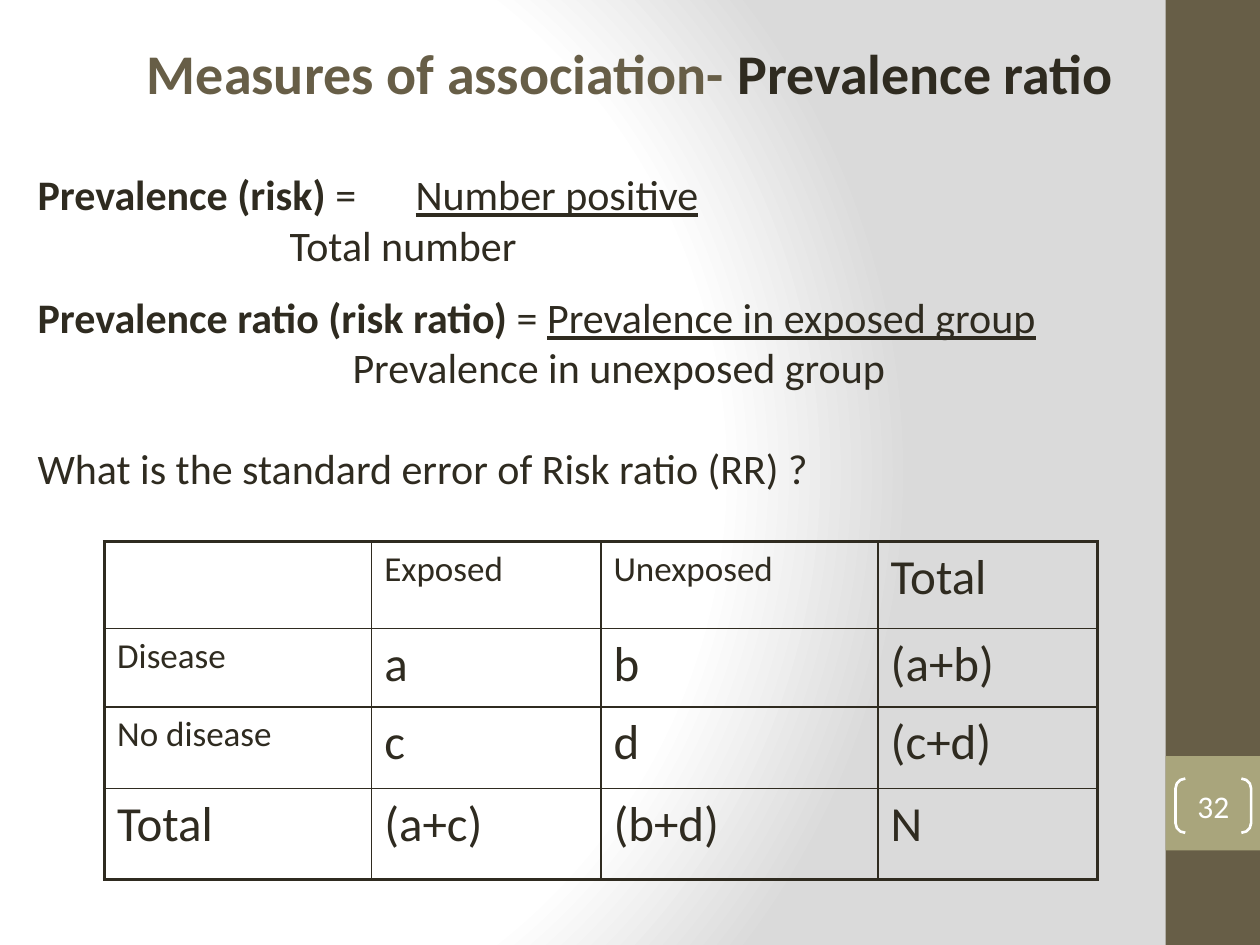
"""Build the slide on prevalence ratio with its two-by-two table."""
from lxml.etree import SubElement
from pptx import Presentation
from pptx.dml.color import RGBColor
from pptx.enum.shapes import MSO_SHAPE
from pptx.enum.text import MSO_ANCHOR, PP_ALIGN
from pptx.oxml import parse_xml
from pptx.oxml.ns import nsdecls, qn
from pptx.util import Inches, Pt

INK = RGBColor(0x2F, 0x2B, 0x20)
BROWN = RGBColor(0x67, 0x5E, 0x47)
OLIVE = RGBColor(0xA9, 0xA5, 0x7C)
WHITE = RGBColor(0xFF, 0xFF, 0xFF)

deck = Presentation()
deck.slide_width, deck.slide_height = Inches(10), Inches(7.5)
slide = deck.slides.add_slide(deck.slide_layouts[6])
shapes = slide.shapes


def area(left, top, width, height):
    wide, high = deck.slide_width / 100, deck.slide_height / 100
    return [round(n) for n in (left * wide, top * high, width * wide, height * high)]


def write(para, text, size, color=INK, bold=False, under=False):
    run = para.add_run()
    run.text = text
    font = run.font
    font.name, font.size, font.bold = "Calibri", Pt(size), bold
    font.underline = under
    font.color.rgb = color


stops = "".join(
    f'<a:gs pos="{pos}000"><a:srgbClr val="{color}"/></a:gs>'
    for pos, color in ((0, "FFFFFF"), (75, "FFFFFF"), (100, "DADADA"))
)
slide.element.cSld.insert(0, parse_xml(
    f'<p:bg {nsdecls("p", "a")}><p:bgPr><a:gradFill rotWithShape="1">'
    f'<a:gsLst>{stops}</a:gsLst><a:path path="circle">'
    '<a:fillToRect l="20000" t="50000" r="100000" b="50000"/></a:path>'
    '</a:gradFill><a:effectLst/></p:bgPr></p:bg>'))

for top, height, color in ((0, 100, BROWN), (80, 10, OLIVE)):
    band = shapes.add_shape(MSO_SHAPE.RECTANGLE, *area(92.5, top, 7.5, height))
    band.shadow.inherit = False
    band.fill.solid()
    band.fill.fore_color.rgb = color
    band.line.fill.background()

badge = shapes.add_shape(MSO_SHAPE.DOUBLE_BRACKET, *area(93.3, 82.4, 6, 5.73))
badge.shadow.inherit = False
badge.adjustments[0] = 0.18
badge.fill.background()
badge.line.color.rgb = WHITE
badge.line.width = Pt(1.5)
frame = badge.text_frame
frame.margin_left = frame.margin_right = frame.margin_top = frame.margin_bottom = 0
frame.vertical_anchor = MSO_ANCHOR.MIDDLE
frame.paragraphs[0].alignment = PP_ALIGN.CENTER
write(frame.paragraphs[0], "32", 18, WHITE)

title = shapes.add_textbox(*area(7.5, 2.8, 85, 9.6)).text_frame
title.word_wrap = True
title.vertical_anchor = MSO_ANCHOR.MIDDLE
head = title.paragraphs[0]
head.alignment = PP_ALIGN.CENTER
write(head, "Measures of association- ", 32, BROWN, bold=True)
write(head, "Prevalence ratio", 32, bold=True)

LINES = [
    (0, [("Prevalence (risk) ", "b"), ("= \t", ""), ("Number positive", "u")]),
    (0, [("\t\t\t\tTotal number", "")]),
    (12.5, [("Prevalence ratio (risk ratio) ", "b"), ("= ", ""),
            ("Prevalence in exposed group", "u")]),
    (0, [("\t\t\t\t\tPrevalence in unexposed group", "")]),
    (29, [("What is the standard error of Risk ratio (RR) ?", "")]),
]
body = shapes.add_textbox(*area(2, 17.2, 95.7, 41.73)).text_frame
body.word_wrap = True
for row, (gap, parts) in enumerate(LINES):
    para = body.add_paragraph() if row else body.paragraphs[0]
    props = para._p.get_or_add_pPr()
    props.set("marL", str(Inches(0.5)))
    props.set("indent", str(-Inches(0.5)))
    para.space_before = Pt(gap)
    for text, style in parts:
        write(para, text, 24, bold=style == "b", under=style == "u")

CELLS = [
    ["", "Exposed", "Unexposed", "Total"],
    ["Disease", "a", "b ", "(a+b)"],
    ["No disease", "c", "d ", "(c+d)"],
    ["Total", "(a+c)", "(b+d)", "N"],
]
SMALL = {"Exposed", "Unexposed", "Disease", "No disease"}
WIDTHS = [21.2, 18.2, 22, 17.4]
HEIGHTS = [9.2, 8.27, 8.67, 9.6]
spot = area(8.3, 57.33, sum(WIDTHS), sum(HEIGHTS))
table = shapes.add_table(len(HEIGHTS), len(WIDTHS), *spot).table
table.first_row = table.horz_banding = False
for col, width in zip(table.columns, WIDTHS):
    col.width = area(0, 0, width, 0)[2]
for row, height in zip(table.rows, HEIGHTS):
    row.height = area(0, 0, 0, height)[3]

for y, texts in enumerate(CELLS):
    for x, text in enumerate(texts):
        cell = table.cell(y, x)
        props = cell._tc.get_or_add_tcPr()
        edges = {"L": x == 0, "R": x == 3, "T": y == 0, "B": y == 3}
        for side, outer in edges.items():
            line = SubElement(props, qn(f"a:ln{side}"), w=str(Pt(2.25 if outer else 1)))
            SubElement(SubElement(line, qn("a:solidFill")), qn("a:srgbClr"), val=str(INK))
        cell.fill.background()
        if text:
            write(cell.text_frame.paragraphs[0], text, 20 if text in SMALL else 28)

deck.save("out.pptx")
